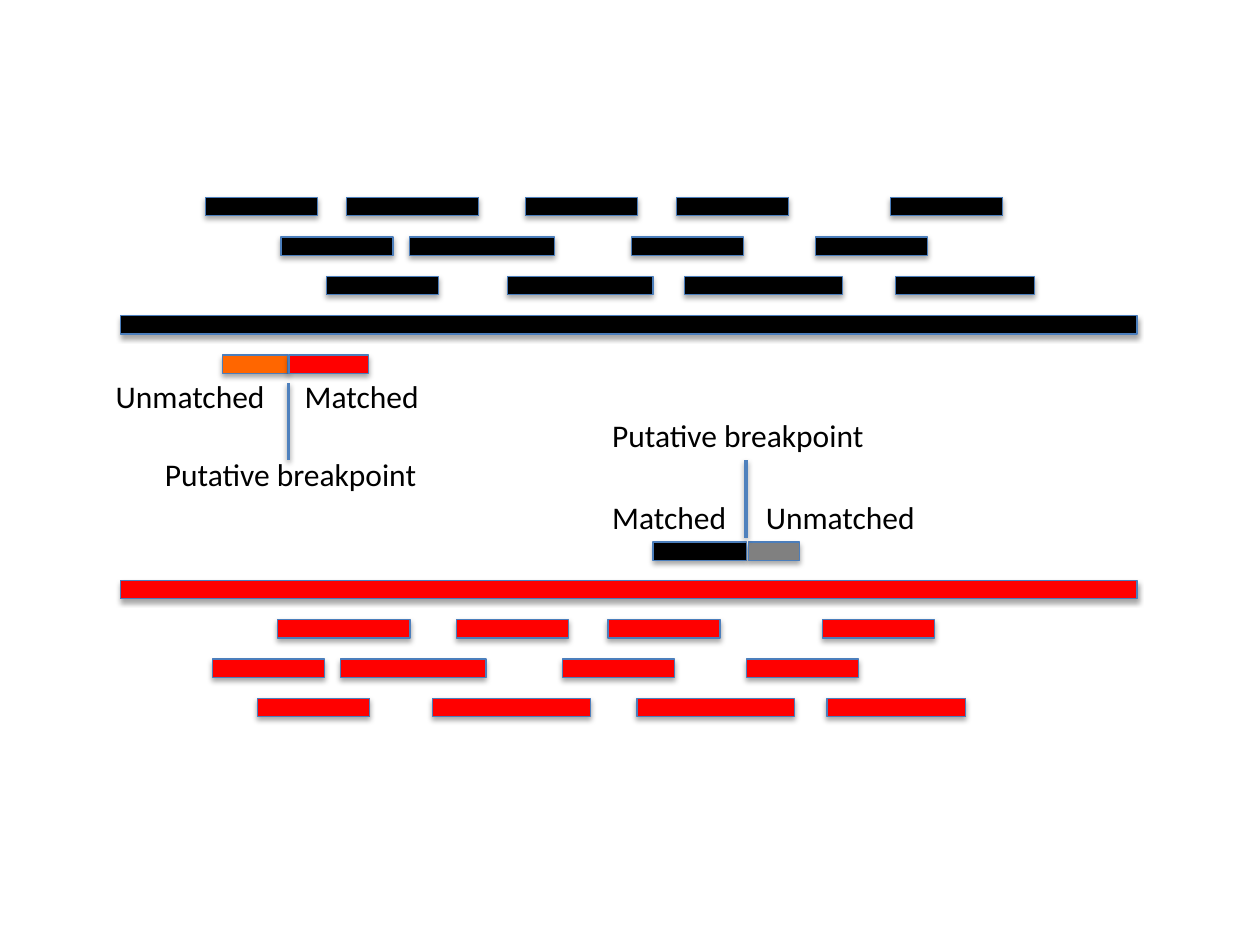
"""Draw reads matched to two sequences, with their putative breakpoints."""
from dataclasses import dataclass

from lxml import etree
from pptx import Presentation
from pptx.dml.color import RGBColor
from pptx.enum.shapes import MSO_CONNECTOR, MSO_SHAPE
from pptx.enum.text import MSO_AUTO_SIZE
from pptx.oxml.ns import qn
from pptx.util import Inches, Pt

MINUS = MSO_SHAPE.MATH_MINUS
LINE = MSO_CONNECTOR.STRAIGHT
GROW = MSO_AUTO_SIZE.SHAPE_TO_FIT_TEXT

WIDE, HIGH = Inches(10), Inches(7.5)
COL, ROW = WIDE / 100, HIGH / 24
TOP, LOW = 4.26, 13.98
SHIFT = -5.45
INK = {"black": "000000", "red": "FF0000", "orange": "FF6600",
       "gray": "808080", "edge": "4B7EBC", "mark": "4F81BD"}


@dataclass
class Bar:
    col: float
    row: float
    wide: float
    ink: str


@dataclass
class Label:
    text: str
    col: float
    row: float
    wide: float


@dataclass
class Mark:
    col: float
    start: float
    end: float


READS = [
    (0, 25.6, 14.3), (0, 40.1, 12.1), (0, 52.1, 12.1), (0, 69.1, 12.1),
    (1, 20.7, 12.1), (1, 30.4, 15.7), (1, 48.5, 12.1), (1, 63.1, 12.1),
    (2, 24.3, 12.1), (2, 69.1, 15),
]
BARS = [
    *(Bar(col, TOP + row, wide, "black") for row, col, wide in READS),
    Bar(14.7, TOP, 12.1, "black"),
    Bar(38.2, TOP + 2, 15.7, "black"),
    Bar(52.1, TOP + 2, 17, "black"),
    Bar(-5, TOP + 3, 109.8, "black"),
    *(Bar(col + SHIFT, LOW + row + 1, wide, "red") for row, col, wide in READS),
    Bar(32.1, LOW + 3, 17, "red"),
    Bar(48.3, LOW + 3, 17, "red"),
    Bar(-5, LOW, 109.8, "red"),
    Bar(16.7, TOP + 4, 7.1, "orange"),
    Bar(21.8, TOP + 4, 8.6, "red"),
    Bar(50.5, LOW - 0.97, 10.1, "black"),
    Bar(58.7, LOW - 0.97, 5.5, "gray"),
]
LABELS = [
    Label("Matched", 47.6, 12.48, 11.2),
    Label("Unmatched", 59.8, 12.48, 14),
    Label("Matched", 23.2, 9.41, 11.2),
    Label("Unmatched", 8.2, 9.41, 14),
    Label("Putative breakpoint", 12.1, 11.39, 22.2),
    Label("Putative breakpoint", 47.6, 10.4, 22.2),
]
MARKS = [Mark(22.9, 11.68, 9.73), Mark(59.2, 13.66, 11.68)]


def tint(name: str) -> RGBColor:
    return RGBColor.from_string(INK[name])


def grid(col: float, row: float) -> tuple[int, int]:
    return round(col * COL), round(row * ROW)


def shade(item, drop: float, alpha: int) -> None:
    fx = etree.SubElement(item._element.spPr, qn("a:effectLst"))
    cast = etree.SubElement(fx, qn("a:outerShdw"), blurRad=str(Pt(3.1)),
                            dist=str(Pt(drop)), dir="5400000", rotWithShape="0")
    hue = etree.SubElement(cast, qn("a:srgbClr"), val=INK["black"])
    etree.SubElement(hue, qn("a:alpha"), val=str(alpha * 1000))


def draw_bar(slide, bar: Bar) -> None:
    shape = slide.shapes.add_shape(MINUS, *grid(bar.col, bar.row),
                                   *grid(bar.wide, 1.98))
    shape.fill.solid()
    shape.fill.fore_color.rgb = tint(bar.ink)
    shape.line.color.rgb = tint("edge")
    shape.line.width = Pt(0.75)
    shade(shape, 1.8, 35)


def draw_mark(slide, mark: Mark) -> None:
    line = slide.shapes.add_connector(LINE, *grid(mark.col, mark.start),
                                      *grid(mark.col, mark.end))
    line.line.color.rgb = tint("mark")
    line.line.width = Pt(2)
    shade(line, 1.6, 38)


def write(slide, text: str, *, col: float, row: float, wide: float,
          size: float = 18, font: str = "Calibri", ink: str = "black") -> None:
    box = slide.shapes.add_textbox(*grid(col, row), *grid(wide, 1.28))
    frame = box.text_frame
    frame.word_wrap = False
    frame.auto_size = GROW
    run = frame.paragraphs[0].add_run()
    run.text = text
    run.font.size = Pt(size)
    run.font.name = font
    run.font.color.rgb = tint(ink)


def main() -> None:
    deck = Presentation()
    deck.slide_width, deck.slide_height = WIDE, HIGH
    slide = deck.slides.add_slide(deck.slide_layouts[6])
    for bar in BARS:
        draw_bar(slide, bar)
    for mark in MARKS:
        draw_mark(slide, mark)
    for tag in LABELS:
        write(slide, tag.text, col=tag.col, row=tag.row, wide=tag.wide)
    deck.save("out.pptx")


if __name__ == "__main__":
    main()
